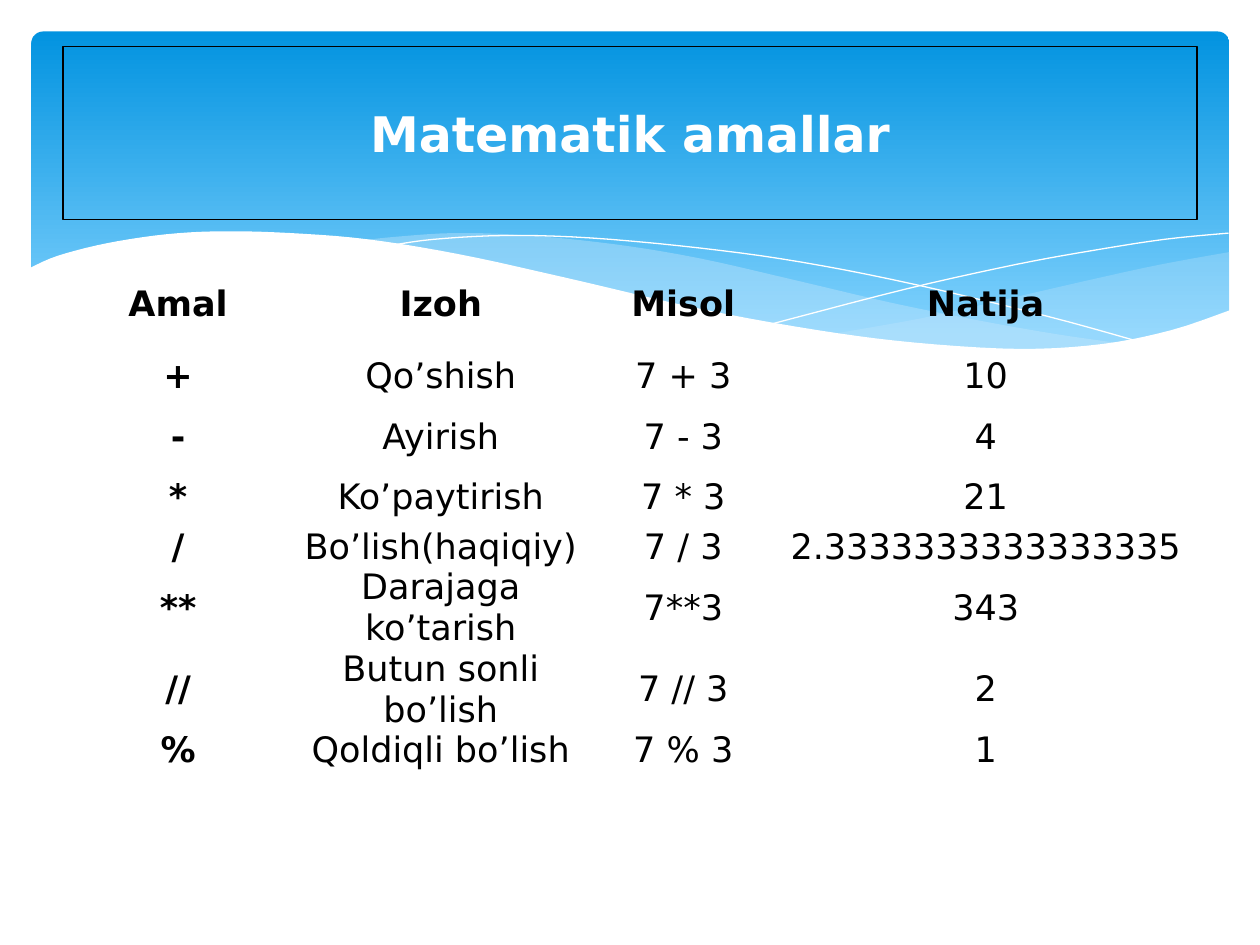
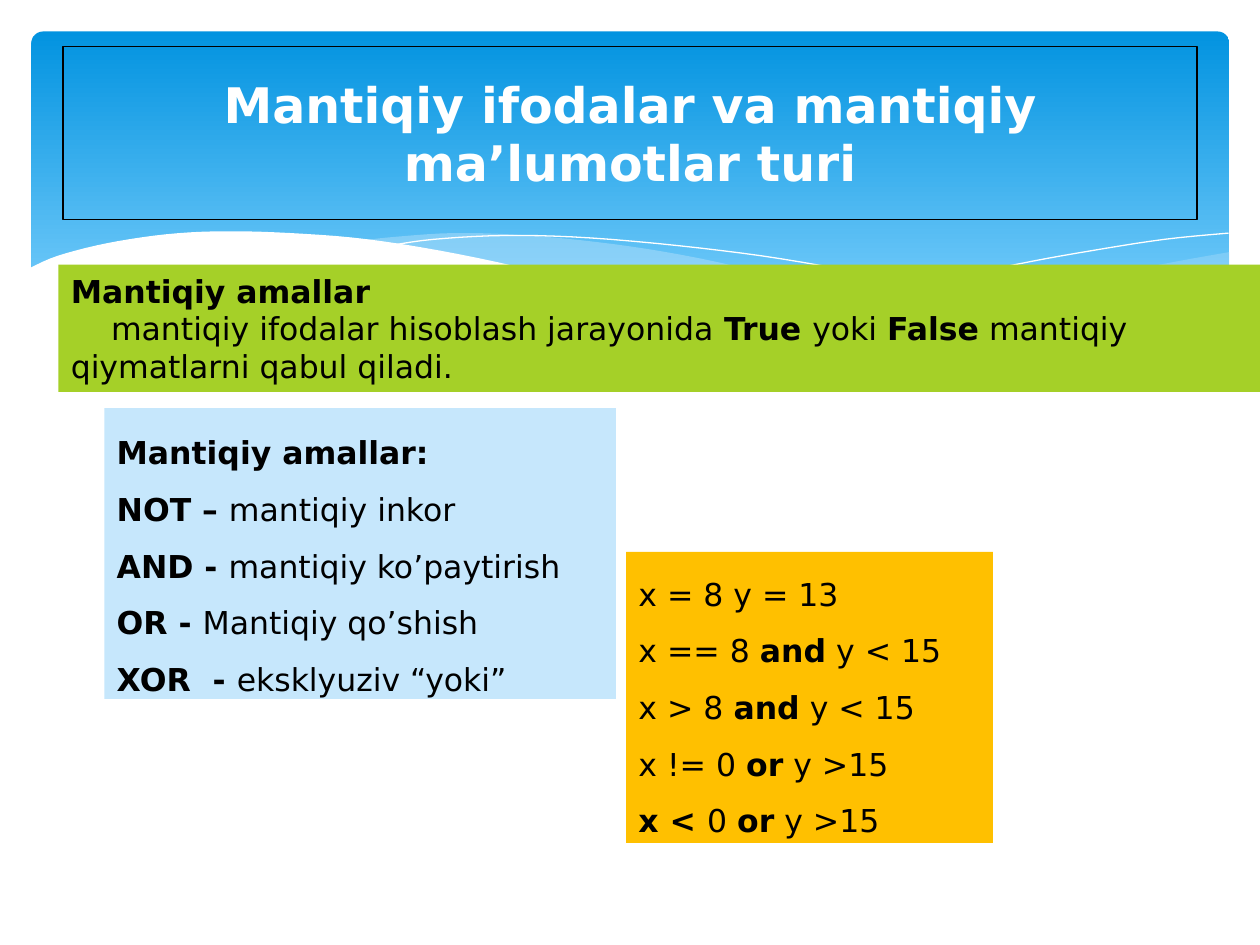
from dataclasses import dataclass

from lxml.etree import SubElement
from pptx import Presentation
from pptx.dml.color import RGBColor as Color
from pptx.enum.shapes import MSO_SHAPE as Shape
from pptx.enum.text import MSO_ANCHOR as Anchor, MSO_AUTO_SIZE as AutoSize, PP_ALIGN as Align
from pptx.oxml.ns import qn
from pptx.util import Pt


@dataclass(frozen=True)
class Theme:
    """Colours, font and type sizes of the deck."""

    font: str = "DejaVu Sans"
    title_size: int = 28
    table_size: int = 20
    body_size: int = 18
    white: str = "FFFFFF"
    black: str = "000000"
    sky_top: str = "0293E0"
    sky_bottom: str = "83D3FE"
    pale_blue: str = "C6E7FC"
    green: str = "A5D028"
    amber: str = "FFC000"


THEME = Theme()
NO_STYLE = "{2D5ABB26-0587-4C30-8999-92F81FD0307C}"

BAND_BOX = (18, 18, 684.5, 194.4)
TITLE_BOX = (36, 26.64, 648, 98.64)
TABLE_BOX = (36.72, 151.2, 646.6, 289.5)

RIGHT_WAVE_TOP = [(702.7, 144), (663, 151.2), (620, 160.6), (561, 174.2), (525, 182.2), (476, 190.8)]
RIGHT_WAVE_BOTTOM = [(476, 190.8), (517.7, 195.8), (553.7, 199.4), (586, 200.2), (621.4, 198),
                     (651.6, 193.7), (678.2, 186.5), (702.7, 177.8)]
MIDDLE_WAVE_BOTTOM = [(206, 137.5), (260.6, 146.2), (323.3, 159.8), (381.6, 172.8), (445, 185.8),
                      (500.4, 194.4), (548, 199.4), (589, 200.2), (617, 199.4), (643, 196.6)]
MIDDLE_WAVE_TOP = [(643, 196.6), (602.6, 190.8), (558, 182.9), (508.3, 172.8), (453, 159.8),
                   (399.6, 147.6), (352, 139.7), (302.4, 134.6), (260, 133.2), (225.4, 135.4),
                   (206, 137.5)]
FALLING_LINE = [(222.5, 140.4), (247.7, 136.8), (288.7, 134.6), (337.7, 136), (400.3, 141.8),
                (458, 149.8), (523.4, 162.7), (598.3, 180.7), (653, 195.8)]
RISING_LINE = [(441.4, 185), (518.4, 165), (580.3, 151.2), (623.5, 143.3), (665.3, 136.8), (702, 133.2)]
PAPER_EDGE = [(703.4, 177.1), (669.6, 188.6), (630, 196.6), (582.5, 199.4), (522.7, 195.8),
              (466.6, 188.6), (399.6, 176.4), (321.8, 158.4), (262.8, 145.4), (210.2, 136.8),
              (165.6, 133.2), (127.4, 132.2), (95, 133.9), (61.2, 139), (33, 146.2), (16.6, 153.4)]
PAPER_FOOT = [(16.6, 236.9), (703.4, 236.9)]

COLUMN_WIDTHS = [136.1, 164.2, 113, 232.6]
ROW_HEIGHTS = [45.4, 36.7, 33.8, 33.8, 23.3, 46.6, 46.6, 23.3]
OPERATIONS = [
    ("Amal", "Izoh", "Misol", "Natija"),
    ("+", "Qo’shish", "7 + 3", "10"),
    ("-", "Ayirish", "7 - 3", "4"),
    ("*", "Ko’paytirish", "7 * 3", "21"),
    ("/", "Bo’lish(haqiqiy)", "7 / 3", "2.3333333333333335"),
    ("**", "Darajaga ko’tarish", "7**3", "343"),
    ("//", "Butun sonli bo’lish", "7 // 3", "2"),
    ("%", "Qoldiqli bo’lish", "7 % 3", "1"),
]

DEFINITION = ["|Mantiqiy amallar",
              "mantiqiy ifodalar hisoblash jarayonida |True |yoki |False| mantiqiy qiymatlarni qabul qiladi."]
EXAMPLES = ["x = 8 y = 13", "x == 8 |and| y < 15", "x > 8 |and| y < 15", "x != 0 |or| y >15",
            "|x < |0 |or| y >15"]
OPERATORS = ["|Mantiqiy amallar:", "|NOT – |mantiqiy inkor", "|AND - |mantiqiy ko’paytirish",
             "|OR - |Mantiqiy qo’shish", "|XOR  - |eksklyuziv “yoki”"]


def smooth(knots, steps=5):
    """Return points on a Catmull-Rom curve through the knots."""
    padded = [knots[0], *knots, knots[-1]]
    points = [knots[0]]
    for before, start, end, after in zip(padded, padded[1:], padded[2:], padded[3:]):
        for step in range(1, steps + 1):
            t = step / steps
            points.append(tuple(
                (2 * b + (c - a) * t + (2 * a - 5 * b + 4 * c - d) * t**2
                 + (3 * b - a - 3 * c + d) * t**3) / 2
                for a, b, c, d in zip(before, start, end, after)))
    return points


def style_font(font, size, color, bold):
    """Apply the deck font with a size, colour and weight."""
    font.name = THEME.font
    font.size = Pt(size)
    font.bold = bold
    font.color.rgb = Color.from_string(color)


def add_box(page, bounds, kind=Shape.RECTANGLE, fill=None):
    """Add an unlined shape, filled or clear."""
    box = page.shapes.add_shape(kind, *map(Pt, bounds))
    box.shadow.inherit = False
    box.line.fill.background()
    if fill:
        box.fill.solid()
        box.fill.fore_color.rgb = Color.from_string(fill)
    else:
        box.fill.background()
    return box


def add_outline(page, points, closed):
    """Add a freeform through the points."""
    (left, top), *rest = [(Pt(x), Pt(y)) for x, y in points]
    builder = page.shapes.build_freeform(left, top)
    builder.add_line_segments(rest, close=closed)
    outline = builder.convert_to_shape()
    outline.shadow.inherit = False
    return outline


def add_wave(page, points, color, opacity=100):
    """Add a filled wave with the given opacity in percent."""
    wave = add_outline(page, points, True)
    wave.line.fill.background()
    wave.fill.solid()
    wave.fill.fore_color.rgb = Color.from_string(color)
    if opacity < 100:
        tint = wave.fill._xPr.find(".//" + qn("a:srgbClr"))
        SubElement(tint, qn("a:alpha")).set("val", str(opacity * 1000))


def add_hairline(page, knots):
    """Add a thin white curve."""
    curve = add_outline(page, smooth(knots), False)
    curve.fill.background()
    curve.line.color.rgb = Color.from_string(THEME.white)
    curve.line.width = Pt(0)


def add_band(page, bounds):
    """Add the blue header band with its waves."""
    band = add_box(page, bounds, Shape.ROUNDED_RECTANGLE)
    band.adjustments[0] = 0.034
    band.fill.gradient()
    band.fill.gradient_angle = 270
    stops = zip(band.fill.gradient_stops, (0, 0.9), (THEME.sky_top, THEME.sky_bottom))
    for stop, position, color in stops:
        stop.position = position
        stop.color.rgb = Color.from_string(color)
    add_wave(page, smooth(RIGHT_WAVE_TOP) + smooth(RIGHT_WAVE_BOTTOM), THEME.pale_blue, 29)
    add_wave(page, smooth(MIDDLE_WAVE_BOTTOM) + smooth(MIDDLE_WAVE_TOP), THEME.pale_blue, 40)
    add_hairline(page, FALLING_LINE)
    add_hairline(page, RISING_LINE)
    add_wave(page, smooth(PAPER_EDGE) + PAPER_FOOT, THEME.white)


def add_title(page, bounds, text):
    """Add the framed, centred title."""
    box = add_box(page, bounds)
    box.line.color.rgb = Color.from_string(THEME.black)
    box.line.width = Pt(0.75)
    frame = box.text_frame
    frame.text = text
    frame.word_wrap = True
    frame.vertical_anchor = Anchor.MIDDLE
    para = frame.paragraphs[0]
    para.alignment = Align.CENTER
    style_font(para.runs[0].font, THEME.title_size, THEME.white, True)


def add_note(page, bounds, fill, lines, spacing=1.5, anchor=Anchor.MIDDLE):
    """Add a coloured note whose lines switch bold on and off at each bar."""
    frame = add_box(page, bounds, fill=fill).text_frame
    frame.word_wrap = True
    frame.auto_size = AutoSize.SHAPE_TO_FIT_TEXT
    frame.vertical_anchor = anchor
    for index, line in enumerate(lines):
        para = frame.add_paragraph() if index else frame.paragraphs[0]
        para.alignment = Align.LEFT
        para.line_spacing = spacing
        for part, text in enumerate(line.split("|")):
            if text:
                span = para.add_run()
                span.text = text
                style_font(span.font, THEME.body_size, THEME.black, part % 2 == 1)
    return frame


def add_operations(page, bounds, rows):
    """Add the unruled table with a bold first row and column."""
    table = page.shapes.add_table(len(rows), len(rows[0]), *map(Pt, bounds)).table
    table.horz_banding = False
    table._tbl.tblPr.find(qn("a:tableStyleId")).text = NO_STYLE
    for column, width in zip(table.columns, COLUMN_WIDTHS):
        column.width = Pt(width)
    for row, height in zip(table.rows, ROW_HEIGHTS):
        row.height = Pt(height)
    for r, texts in enumerate(rows):
        for c, text in enumerate(texts):
            cell = table.cell(r, c)
            cell.fill.background()
            cell.margin_left = cell.margin_top = cell.margin_bottom = 0
            cell.margin_right = Pt(6)
            cell.vertical_anchor = Anchor.MIDDLE
            cell.text_frame.text = text
            para = cell.text_frame.paragraphs[0]
            para.alignment = Align.CENTER
            style_font(para.runs[0].font, THEME.table_size, THEME.black, r == 0 or c == 0)


def add_page(deck, title):
    """Add a blank page with the band and title."""
    page = deck.slides.add_slide(deck.slide_layouts[6])
    add_band(page, BAND_BOX)
    add_title(page, TITLE_BOX, title)
    return page


def arithmetic_page(deck):
    """Build the page of arithmetic operators."""
    page = add_page(deck, "Matematik amallar")
    add_operations(page, TABLE_BOX, OPERATIONS)


def logic_page(deck):
    """Build the page of logical operators."""
    page = add_page(deck, "Mantiqiy ifodalar va mantiqiy ma’lumotlar turi")
    definition = add_note(page, (33.4, 151.2, 695.5, 72.7), THEME.green, DEFINITION, spacing=1.0)
    definition.paragraphs[1]._p.get_or_add_pPr().set("indent", str(Pt(23)))
    add_note(page, (357.8, 315.4, 209.6, 166.2), THEME.amber, EXAMPLES)
    add_note(page, (59.6, 233.2, 292.3, 166.2), THEME.pale_blue, OPERATORS, anchor=Anchor.TOP)


def main():
    """Build and save the deck."""
    deck = Presentation()
    deck.slide_width, deck.slide_height = Pt(720), Pt(540)
    arithmetic_page(deck)
    logic_page(deck)
    deck.save("out.pptx")


if __name__ == "__main__":
    main()
